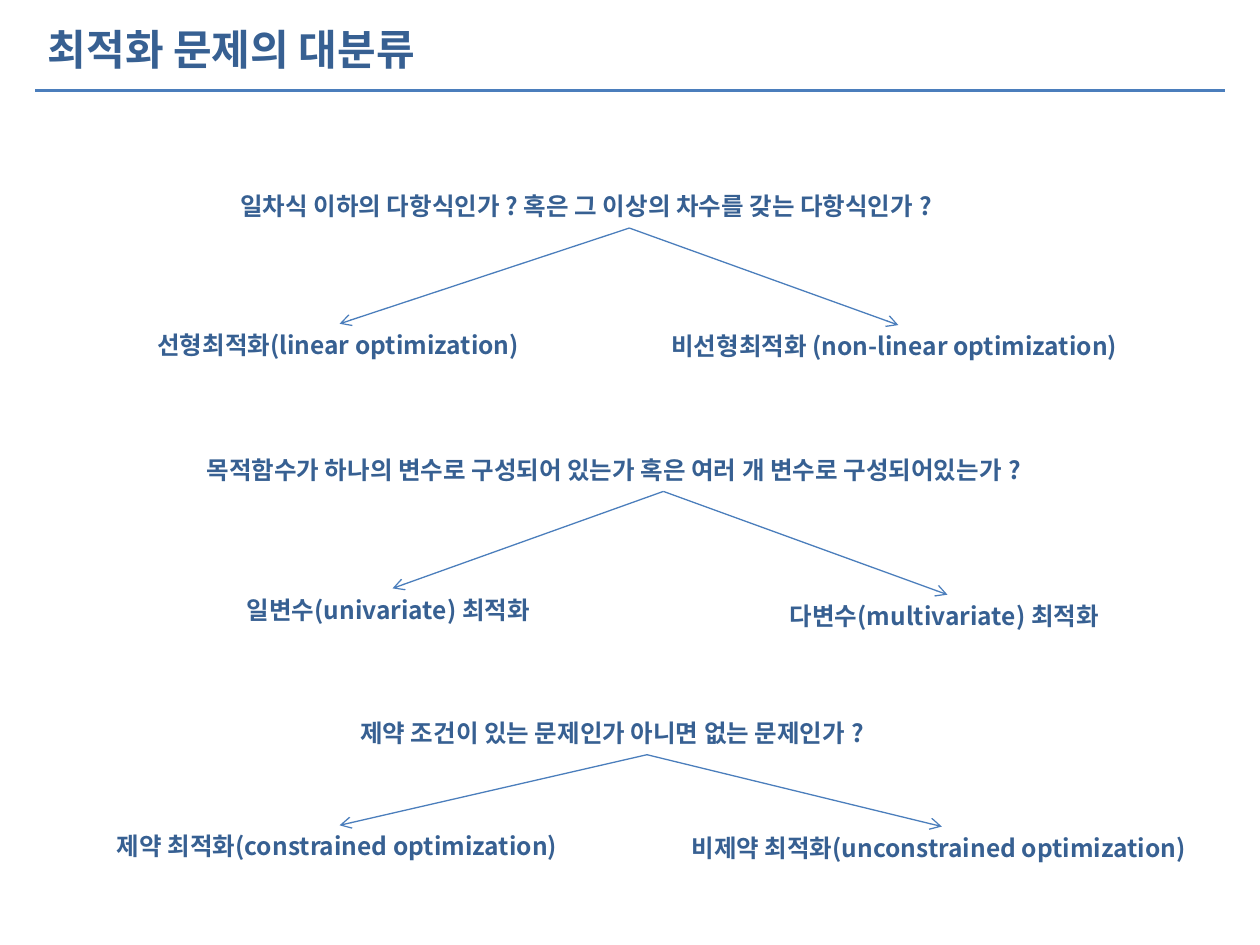
from pptx import Presentation, util as u
from pptx.dml.color import RGBColor
from pptx.enum import shapes, text
from pptx.oxml import ns, xmlchemy as xc

PX = 9144
NAVY = RGBColor(0x37, 0x60, 0x92)
BLUE = RGBColor(0x4B, 0x7E, 0xBC)
FONT = "Noto Sans CJK KR"
TREES = [
    (("일차식 이하의 다항식인가 ? 혹은 그 이상의 차수를 갖는 다항식인가 ?", 181, 147, 637),
     [("선형최적화(linear optimization)", 115, 257, 309),
      ("비선형최적화 (non-linear optimization)", 523, 258, 380)]),
    (("목적함수가 하나의 변수로 구성되어 있는가 혹은 여러 개 변수로 구성되어있는가 ?", 154, 356, 745),
     [("일변수(univariate) 최적화", 186, 467, 251),
      ("다변수(multivariate) 최적화", 617, 472, 270)]),
    (("제약 조건이 있는 문제인가 아니면 없는 문제인가 ?", 276, 565, 475),
     [("제약 최적화(constrained optimization)", 83, 655, 373),
      ("비제약 최적화(unconstrained optimization)", 539, 656, 417)]),
]


def px(*vals):
    """Turn px lengths into EMU."""
    return [u.Emu(v * PX) for v in vals]


def write(frame, words, size, font):
    """Write one bold, left-aligned run into a text frame."""
    para = frame.paragraphs[0]
    para.alignment = text.PP_ALIGN.LEFT
    run = para.add_run()
    run.text = words
    run.font.name = font
    run.font.size = u.Pt(size)
    run.font.bold = True
    run.font.color.rgb = NAVY
    east = xc.OxmlElement("a:ea")
    east.set("typeface", FONT)
    run.font._element.find(ns.qn("a:latin")).addnext(east)


def line(slide, ends, width):
    """Draw a plain straight line without a shadow."""
    link = slide.shapes.add_connector(shapes.MSO_CONNECTOR.STRAIGHT, *px(*ends))
    link.line.color.rgb = BLUE
    link.line.width = u.Pt(width)
    link._element.spPr.append(xc.OxmlElement("a:effectLst"))
    return link


def arrow(slide, start, end):
    """Join the bottom of one box to the top of another."""
    link = line(slide, (0, 0, 1, 1), 0.75)
    link.begin_connect(start, 2)
    link.end_connect(end, 0)
    tail = xc.OxmlElement("a:tailEnd")
    tail.set("type", "arrow")
    link.line._get_or_add_ln().append(tail)


def label(slide, words, left, top, width):
    """Place one wrapped text label."""
    box = slide.shapes.add_textbox(*px(left, top, width, 34))
    frame = box.text_frame
    frame.word_wrap = True
    frame.auto_size = text.MSO_AUTO_SIZE.SHAPE_TO_FIT_TEXT
    write(frame, words, 14, FONT)
    return box


def header(slide, words, left, top, width, height):
    """Place the title and the rule below it."""
    line(slide, (left, top + 56, left + 944, top + 56), 1.5)
    title = slide.shapes.title
    title.left, title.top, title.width, title.height = px(left, top, width, height)
    frame = title.text_frame
    frame.auto_size = text.MSO_AUTO_SIZE.NONE
    frame.vertical_anchor = text.MSO_ANCHOR.MIDDLE
    write(frame, words, 24, "Arial")


def tree(slide, root, leaves):
    """Place a question with arrows to its answers."""
    ask = label(slide, *root)
    for leaf in leaves:
        arrow(slide, ask, label(slide, *leaf))


def main():
    """Build and save the slide."""
    deck = Presentation()
    deck.slide_width, deck.slide_height = px(1000, 750)
    slide = deck.slides.add_slide(deck.slide_layouts[5])
    header(slide, "최적화 문제의 대분류", 28, 16, 900, 46)
    for root, leaves in TREES:
        tree(slide, root, leaves)
    deck.save("out.pptx")


if __name__ == "__main__":
    main()
